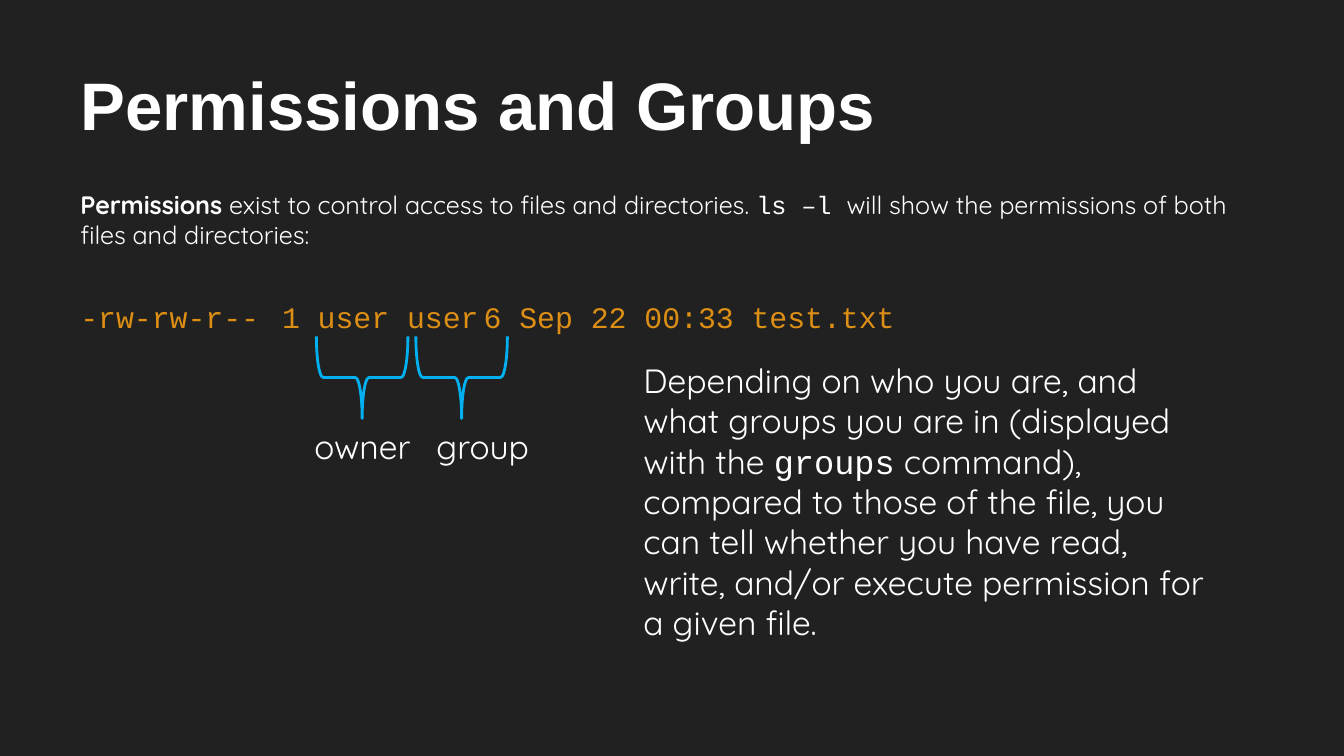
from lxml import etree
from pptx import Presentation
from pptx.dml.color import RGBColor
from pptx.enum.shapes import MSO_SHAPE
from pptx.enum.text import MSO_ANCHOR, MSO_AUTO_SIZE, PP_ALIGN
from pptx.oxml.ns import qn
from pptx.util import Cm, Pt

BRACE = MSO_SHAPE.LEFT_BRACE
TOP, BOTTOM = MSO_ANCHOR.TOP, MSO_ANCHOR.BOTTOM
NO_FIT, GROW = MSO_AUTO_SIZE.NONE, MSO_AUTO_SIZE.SHAPE_TO_FIT_TEXT
LEFT = PP_ALIGN.LEFT
SANS, MONO = "Quicksand", "Courier New"
WHITE, ORANGE, BLUE, DARK = "FFFFFF", "DC8F14", "00B0F0", "212121"


def rgb(value):
    """Turn a hex string into a colour."""
    return RGBColor.from_string(value)


def assign(obj, values):
    """Set attributes from a dict."""
    for name, value in values.items():
        setattr(obj, name, value)


def place(sp, box):
    """Move a shape to a box given in centimetres."""
    names = ("left", "top", "width", "height")
    assign(sp, {n: Cm(v) for n, v in zip(names, box)})


def write(p, runs, size, color=WHITE, **spacing):
    """Fill a paragraph with (text, font, bold) runs."""
    assign(p, {"alignment": LEFT, "space_before": Pt(0), **spacing})
    for text, font, bold in runs:
        r = p.add_run()
        r.text = text
        assign(r.font, {"name": font, "size": Pt(size), "bold": bold})
        r.font.color.rgb = rgb(color)


def plain(p, tabs=()):
    """Remove the bullet and indent, and set tab stops in centimetres."""
    pPr = p._p.get_or_add_pPr()
    pPr.set("marL", "0")
    pPr.set("indent", "0")
    etree.SubElement(pPr, qn("a:buNone"))
    if tabs:
        stops = etree.SubElement(pPr, qn("a:tabLst"))
        for pos in tabs:
            etree.SubElement(stops, qn("a:tab"), pos=str(Cm(pos)), algn="l")


def shade(r):
    """Give a run a soft shadow."""
    effects = etree.Element(qn("a:effectLst"))
    shadow = etree.SubElement(effects, qn("a:outerShdw"), blurRad="38100",
                              dist="38100", dir="2700000", algn="tl")
    black = etree.SubElement(shadow, qn("a:srgbClr"), val="000000")
    etree.SubElement(black, qn("a:alpha"), val="43000")
    r.font.fill._xPr.find(qn("a:solidFill")).addnext(effects)


def frame(sp, anchor):
    """Set up a placeholder's text frame."""
    tf = sp.text_frame
    margins = ("margin_left", "margin_top", "margin_right", "margin_bottom")
    assign(tf, {m: Cm(0.25) for m in margins})
    assign(tf, {"word_wrap": True, "auto_size": NO_FIT,
                "vertical_anchor": anchor})
    return tf


def title(slide, box):
    """Write the slide title."""
    sp = slide.shapes.title
    place(sp, box)
    p = frame(sp, BOTTOM).paragraphs[0]
    write(p, [("Permissions and Groups", "Arial", True)], 36)
    shade(p.runs[0])


def body(slide, box):
    """Write the introduction and the file listing."""
    sp = slide.placeholders[1]
    place(sp, box)
    tf = frame(sp, TOP)
    intro, listing = tf.paragraphs[0], tf.add_paragraph()
    write(intro, [
        ("Permissions", SANS, True),
        (" exist to control access to files and directories. ", SANS, False),
        ("ls –l ", MONO, False),
        ("will show the permissions of both files and directories:",
         SANS, False)], 13.5, space_after=Pt(4.5))
    plain(intro)
    write(listing, [
        ("-rw-rw-r--\t1 user user\t6 Sep 22 00:33 test.txt", MONO, False)],
        16, ORANGE, space_before=Pt(21.5), space_after=Pt(4.5))
    plain(listing, (4.06, 9.14))


def note(slide, box, runs):
    """Add a wrapped text box."""
    sp = slide.shapes.add_textbox(*map(Cm, box))
    tf = sp.text_frame
    assign(tf, {"word_wrap": True, "auto_size": GROW})
    write(tf.paragraphs[0], runs, 18)


def field(slide, box, text, shift):
    """Mark a listing field with a brace and a label below it."""
    x, y, w, h = box
    sp = slide.shapes.add_shape(BRACE, *map(Cm, box))
    sp.rotation = 270
    sp.shadow.inherit = False
    sp.fill.background()
    sp.line.color.rgb = rgb(BLUE)
    sp.line.width = Pt(1.5)
    note(slide, (x + shift, y + 1.65, 4.04, 1.02), [(text, SANS, False)])


def main():
    """Build and save the slide."""
    prs = Presentation()
    assign(prs, {"slide_width": Cm(25.4), "slide_height": Cm(14.29)})
    slide = prs.slides.add_slide(prs.slide_layouts[1])
    fill = slide.background.fill
    fill.solid()
    fill.fore_color.rgb = rgb(DARK)
    title(slide, (1.27, 0.58, 22.86, 2.39))
    body(slide, (1.27, 3.33, 22.86, 10.34))
    for x, text, shift in ((6.07, "owner", -0.38), (7.95, "group", 0.05)):
        field(slide, (x, 6.27, 1.55, 1.73), text, shift)
    note(slide, (11.91, 6.68, 11.3, 5.64), [
        ("Depending on who you are, and what groups you are in "
         "(displayed with the ", SANS, False),
        ("groups", MONO, False),
        (" command), compared to those of the file, you can tell whether "
         "you have read, write, and/or execute permission for a given file.",
         SANS, False)])
    prs.save("out.pptx")


main()
